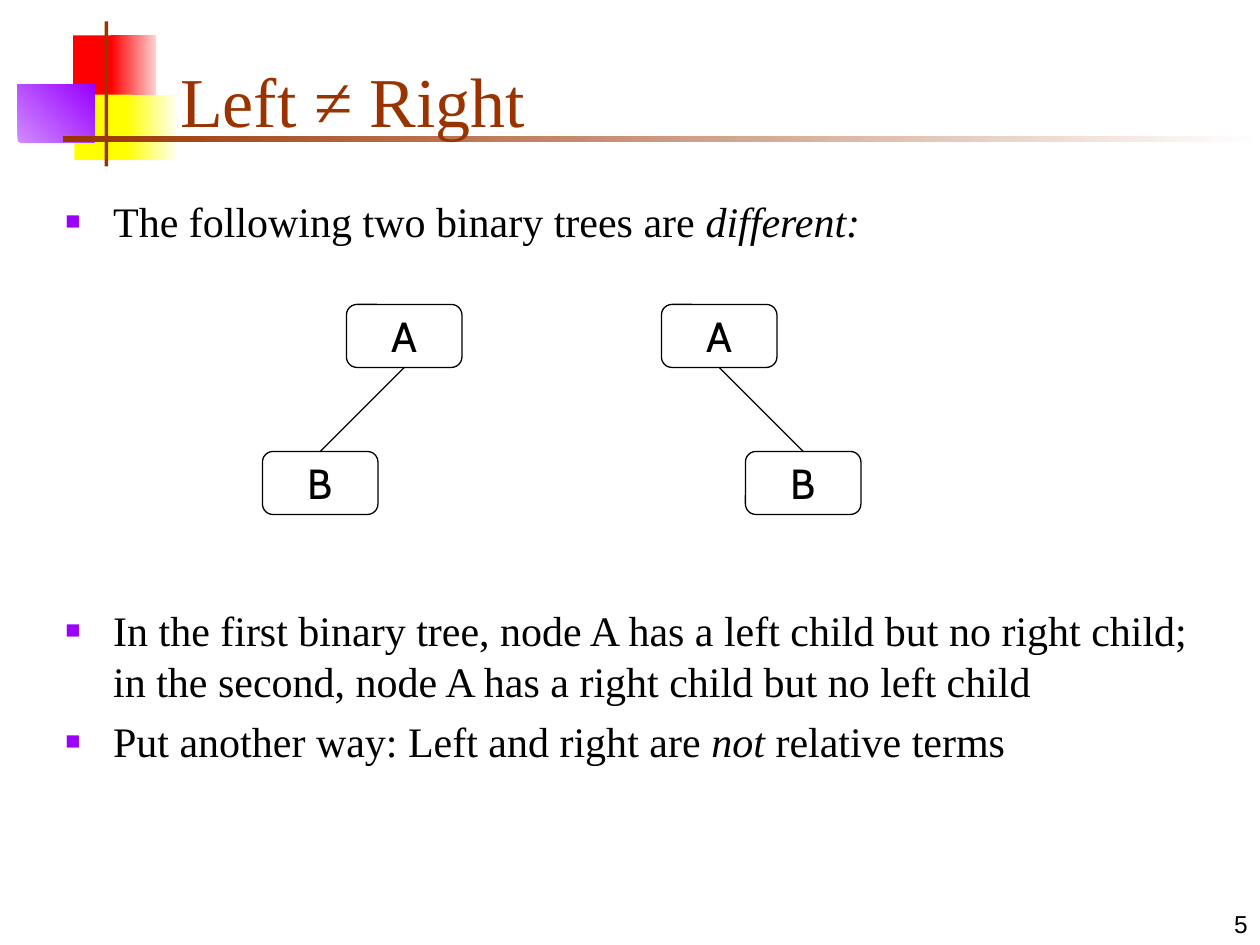
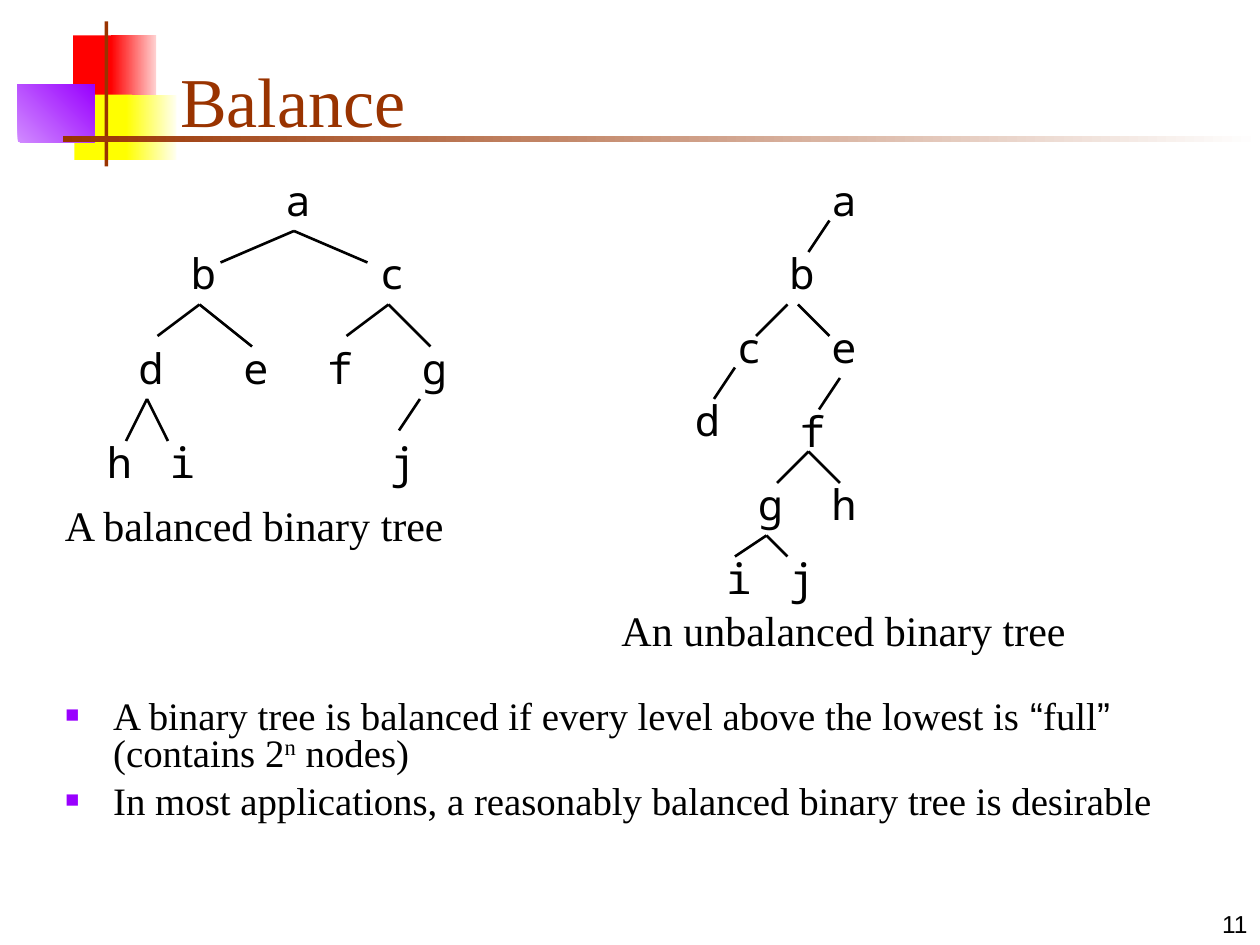
from dataclasses import dataclass

from lxml import etree
from pptx import Presentation
from pptx.dml.color import RGBColor
from pptx.enum.shapes import MSO_CONNECTOR, MSO_SHAPE
from pptx.enum.text import MSO_ANCHOR, PP_ALIGN
from pptx.oxml.ns import qn
from pptx.util import Inches, Pt


@dataclass(frozen=True)
class Theme:
    ink: str = "000000"
    brown: str = "993300"
    purple: str = "9900FF"
    lilac: str = "D18BFF"
    red: str = "FF0000"
    pink: str = "FFD1D1"
    yellow: str = "FFFF00"
    cream: str = "FFFFF0"
    white: str = "FFFFFF"
    serif: str = "Times New Roman"
    sans: str = "Arial"
    mono: str = "Noto Sans Mono"
    node: str = "Cabin"
    title_size: float = 40
    text_size: float = 24
    dense_size: float = 22.2
    number_size: float = 14


THEME = Theme()
TITLE_ONLY = 5
BOTTOM, TOP = 2, 0  # connection sites of a rounded rectangle

# Master blocks: left, top, width, height, colours, gradient angle
BLOCKS = [
    (0.58, 0.28, 0.35, 0.52, [THEME.red], 0),
    (0.88, 0.28, 0.36, 0.52, [THEME.red, THEME.pink], 0),
    (0.59, 0.75, 0.46, 0.52, [THEME.yellow], 0),
    (1, 0.75, 0.4, 0.52, [THEME.yellow, THEME.cream], 0),
    (0.14, 0.67, 0.61, 0.46, [THEME.lilac, THEME.purple], 45),
    (0.83, 0.17, 0.03, 1.15, [THEME.brown], 0),
    (0.5, 1.08, 9.5, 0.05, [THEME.brown, THEME.white], 0),
]

# Trees in grid cells: nodes are (letter, left, top), edges x1, y1, x2, y2
BALANCED_NODES = [
    ("a", 26, 16), ("b", 17, 23), ("c", 35, 23), ("d", 12, 32), ("e", 22, 32),
    ("f", 30, 32), ("g", 39, 32), ("h", 9, 41), ("i", 15, 41), ("j", 36, 41),
]
BALANCED_EDGES = [
    (28, 22, 21, 25), (28, 22, 35, 25), (19, 29, 15, 32),
    (19, 29, 24, 33), (37, 29, 33, 32), (37, 29, 41, 33),
    (14, 38, 12, 42), (14, 38, 16, 42), (40, 38, 38, 41),
]
UNBALANCED_NODES = [
    ("a", 78, 16), ("b", 74, 23), ("c", 69, 30), ("d", 65, 37), ("e", 78, 30),
    ("f", 75, 38), ("g", 71, 45), ("h", 78, 45), ("i", 68, 52), ("j", 74, 52),
]
UNBALANCED_EDGES = [
    (79, 21, 77, 24), (75, 29, 72, 32), (70, 35, 68, 38),
    (76, 29, 79, 32), (80, 36, 78, 39), (77, 43, 74, 46),
    (77, 43, 80, 46), (73, 51, 70, 53), (73, 51, 75, 53),
]


def cells(count):
    """Length of a number of grid cells, twelve to the inch."""
    return Inches(count / 12)


def rgb(colour):
    return RGBColor.from_string(colour)


def style(para, font_name, size, colour=THEME.ink, align=PP_ALIGN.LEFT):
    para.alignment = align
    para.font.name = font_name
    para.font.size = Pt(size)
    para.font.color.rgb = rgb(colour)


# Shared frame
def add_block(page, left, top, width, height, colours, angle):
    block = page.shapes.add_shape(
        MSO_SHAPE.RECTANGLE, *map(Inches, (left, top, width, height)))
    block.shadow.inherit = False
    block.line.fill.background()
    if len(colours) == 1:
        block.fill.solid()
        block.fill.fore_color.rgb = rgb(colours[0])
    else:
        block.fill.gradient()
        block.fill.gradient_angle = angle
        for stop, colour in zip(block.fill.gradient_stops, colours):
            stop.color.rgb = rgb(colour)
    return block


def move_blocks_to_layout(page):
    """Draw the blocks and hand them to the layout, so every page shows them."""
    tree = page.slide_layout.element.cSld.spTree
    for number, values in enumerate(BLOCKS, start=100):
        element = add_block(page, *values).element
        element.nvSpPr.cNvPr.set("id", str(number))
        tree.append(element)


def add_page(deck, title, number):
    page = deck.slides.add_slide(deck.slide_layouts[TITLE_ONLY])
    heading = page.shapes.title
    heading.left, heading.top = Inches(1.33), Inches(0.25)
    heading.width, heading.height = Inches(8.52), Inches(0.92)
    frame = heading.text_frame
    frame.text = title
    frame.vertical_anchor = MSO_ANCHOR.BOTTOM
    style(frame.paragraphs[0], THEME.serif, THEME.title_size, THEME.brown)

    box = add_text(page, Inches(7.92), Inches(7), Inches(2.08), Inches(0.5),
                   str(number), THEME.sans, THEME.number_size, PP_ALIGN.RIGHT)
    box.text_frame.vertical_anchor = MSO_ANCHOR.BOTTOM
    return page


# Text
def add_text(parent, left, top, width, height, text, font_name,
             size=THEME.text_size, align=PP_ALIGN.LEFT):
    box = parent.shapes.add_textbox(left, top, width, height)
    box.text_frame.word_wrap = True
    box.text_frame.text = text
    style(box.text_frame.paragraphs[0], font_name, size, align=align)
    return box


def add_bullet_marker(para):
    properties = para._p.get_or_add_pPr()
    properties.set("marL", str(Inches(0.38)))
    properties.set("indent", str(-Inches(0.38)))
    colour = etree.SubElement(properties, qn("a:buClr"))
    etree.SubElement(colour, qn("a:srgbClr"), val=THEME.purple)
    etree.SubElement(properties, qn("a:buSzPct"), val="60000")
    etree.SubElement(properties, qn("a:buFont"), typeface=THEME.sans)
    etree.SubElement(properties, qn("a:buChar"), char="■")


def add_bullets(page, left, top, width, height, items,
                size=THEME.text_size, spacing=None):
    """Each item is a list of (text, kind) spans; kind may be empty."""
    box = page.shapes.add_textbox(*map(Inches, (left, top, width, height)))
    frame = box.text_frame
    frame.word_wrap = True
    for index, spans in enumerate(items):
        para = frame.add_paragraph() if index else frame.paragraphs[0]
        add_bullet_marker(para)
        style(para, THEME.serif, size)
        para.line_spacing = spacing
        if index:
            para.space_before = Pt(6)
        for text, kind in spans:
            span = para.add_run()
            span.text = text
            if kind == "italic":
                span.font.italic = True
            elif kind == "sans":
                span.font.name = THEME.sans
            elif kind == "superscript":
                span._r.get_or_add_rPr().set("baseline", "30000")


# Trees
def add_edge(parent, x1, y1, x2, y2, weight):
    edge = parent.shapes.add_connector(
        MSO_CONNECTOR.STRAIGHT, *map(cells, (x1, y1, x2, y2)))
    edge.line.color.rgb = rgb(THEME.ink)
    edge.line.width = Pt(weight)
    etree.SubElement(edge.element.spPr, qn("a:effectLst"))
    return edge


def add_boxed_node(parent, letter, left, top):
    node = parent.shapes.add_shape(
        MSO_SHAPE.ROUNDED_RECTANGLE, *map(cells, (left, top, 11, 6)))
    node.shadow.inherit = False
    node.fill.background()
    node.line.color.rgb = rgb(THEME.ink)
    node.line.width = Pt(0.75)
    frame = node.text_frame
    frame.word_wrap = False
    frame.vertical_anchor = MSO_ANCHOR.MIDDLE
    frame.text = letter
    style(frame.paragraphs[0], THEME.node, THEME.text_size,
          align=PP_ALIGN.CENTER)
    return node


def add_parent_and_child(page, parent_left, child_left):
    group = page.shapes.add_group_shape()
    parent = add_boxed_node(group, "A", parent_left, 29)
    child = add_boxed_node(group, "B", child_left, 43)
    edge = add_edge(group, 0, 0, 1, 1, 0.75)
    edge.begin_connect(parent, BOTTOM)
    edge.end_connect(child, TOP)


def add_letter_tree(page, nodes, edges, caption, left, top, width):
    group = page.shapes.add_group_shape()
    for letter, node_left, node_top in nodes:
        add_text(group, *map(cells, (node_left, node_top, 5, 6)),
                 letter, THEME.mono)
    for edge in edges:
        add_edge(group, *edge, 1.5)
    add_text(group, *map(cells, (left, top, width, 6)), caption, THEME.serif)


# Pages
def add_left_right_page(deck):
    page = add_page(deck, "Left ≠ Right", 5)
    move_blocks_to_layout(page)
    add_bullets(page, 0.42, 1.5, 9.33, 2.08, [
        [("The following two binary trees are ", ""), ("different:", "italic")],
    ])
    add_bullets(page, 0.42, 4.75, 9.13, 1.96, [
        [("In the first binary tree, node A has a left child but no right "
          "child; in the second, node A has a right child but no left child",
          "")],
        [("Put another way: Left and right are ", ""), ("not", "italic"),
         (" relative terms", "")],
    ])
    add_parent_and_child(page, 33, 25)
    add_parent_and_child(page, 63, 71)


def add_balance_page(deck):
    page = add_page(deck, "Balance", 11)
    add_bullets(page, 0.42, 5.51, 9.38, 1.19, [
        [("A binary tree is balanced if every level above the lowest is ", ""),
         ("“", "sans"), ("full", ""), ("”", "sans"), (" (contains 2", ""),
         ("n", "superscript"), (" nodes)", "")],
        [("In most applications, a reasonably balanced binary tree is "
          "desirable", "")],
    ], THEME.dense_size, 0.8)
    add_letter_tree(page, BALANCED_NODES, BALANCED_EDGES,
                    "A balanced binary tree", 5, 47, 41)
    add_letter_tree(page, UNBALANCED_NODES, UNBALANCED_EDGES,
                    "An unbalanced binary tree", 58, 57, 45)


def main():
    deck = Presentation()
    deck.slide_width, deck.slide_height = Inches(10), Inches(7.5)
    add_left_right_page(deck)
    add_balance_page(deck)
    deck.save("out.pptx")


if __name__ == "__main__":
    main()
